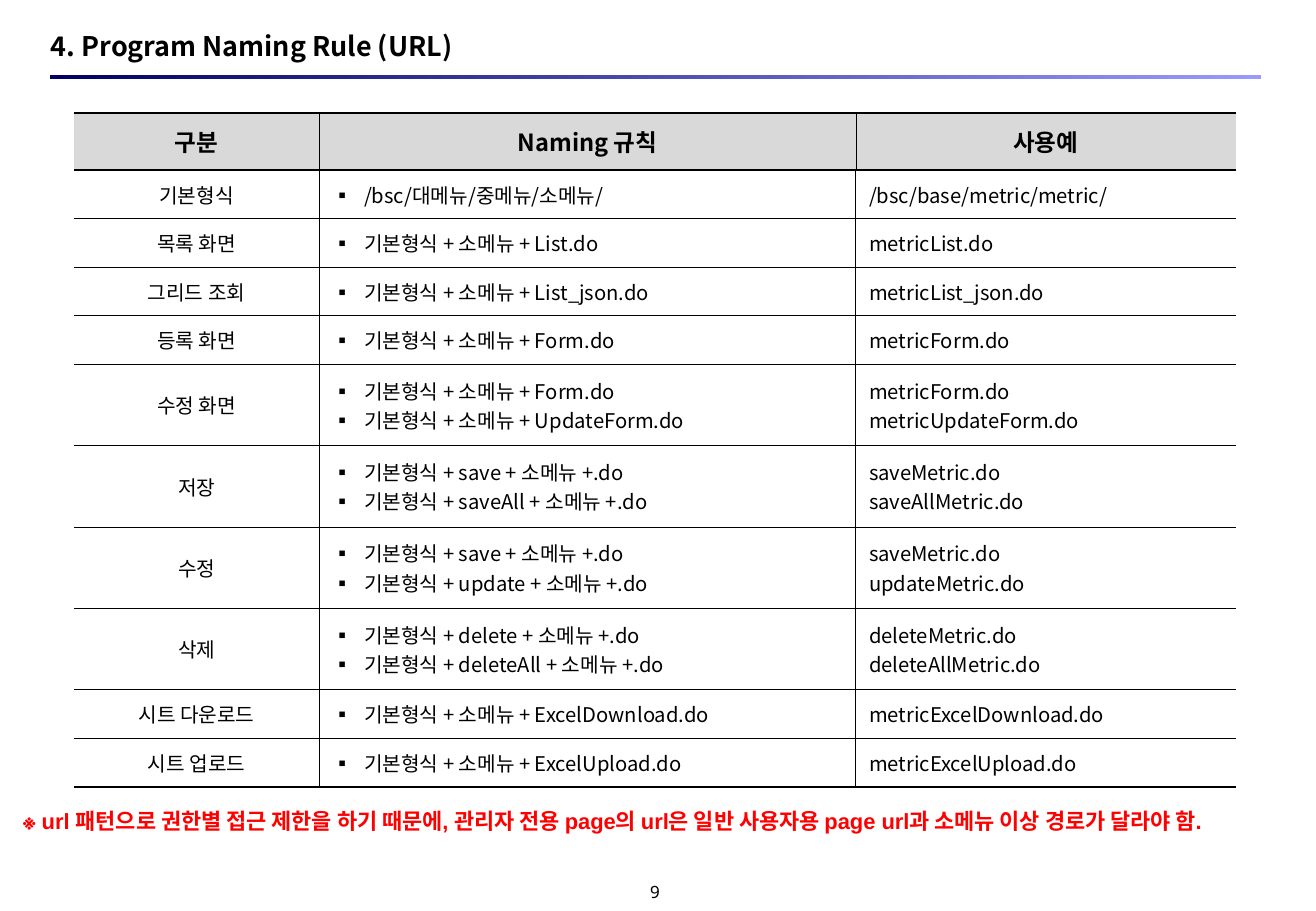
from lxml import etree
from pptx import Presentation
from pptx.dml.color import RGBColor
from pptx.enum.shapes import MSO_SHAPE
from pptx.enum.text import MSO_ANCHOR, MSO_AUTO_SIZE, PP_ALIGN
from pptx.oxml.ns import qn
from pptx.util import Inches, Pt

LEFT, CENTER = PP_ALIGN.LEFT, PP_ALIGN.CENTER
TOP, MIDDLE = MSO_ANCHOR.TOP, MSO_ANCHOR.MIDDLE
RECT, FIXED = MSO_SHAPE.RECTANGLE, MSO_AUTO_SIZE.NONE

# Content
TITLE = "4. Program Naming Rule (URL)"
PAGE = "9"
NOTE = ("※ url 패턴으로 권한별 접근 제한을 하기 때문에, 관리자 전용 page의 url은 "
        "일반 사용자용 page url과 소메뉴 이상 경로가 달라야 함.")
HEADS = ["구분", "Naming 규칙", "사용예"]
ROWS = [
    ("기본형식", ["/bsc/대메뉴/중메뉴/소메뉴/"], ["/bsc/base/metric/metric/"]),
    ("목록 화면", ["기본형식 + 소메뉴 + List.do"], ["metricList.do"]),
    ("그리드 조회", ["기본형식 + 소메뉴 + List_json.do"], ["metricList_json.do"]),
    ("등록 화면", ["기본형식 + 소메뉴 + Form.do"], ["metricForm.do"]),
    ("수정 화면", ["기본형식 + 소메뉴 + Form.do", "기본형식 + 소메뉴 + UpdateForm.do"],
     ["metricForm.do", "metricUpdateForm.do"]),
    ("저장", ["기본형식 + save + 소메뉴 +.do", "기본형식 + saveAll + 소메뉴 +.do"],
     ["saveMetric.do", "saveAllMetric.do"]),
    ("수정", ["기본형식 + save + 소메뉴 +.do", "기본형식 + update + 소메뉴 +.do"],
     ["saveMetric.do", "updateMetric.do"]),
    ("삭제", ["기본형식 + delete + 소메뉴 +.do", "기본형식 + deleteAll + 소메뉴 +.do"],
     ["deleteMetric.do", "deleteAllMetric.do"]),
    ("시트 다운로드", ["기본형식 + 소메뉴 + ExcelDownload.do"], ["metricExcelDownload.do"]),
    ("시트 업로드", ["기본형식 + 소메뉴 + ExcelUpload.do"], ["metricExcelUpload.do"]),
]

# Style
COLORS = {"text": "000000", "note": "FF0000", "head": "D9D9D9",
          "dark": "000066", "light": "9999FF"}
SANS, ARIAL, MONO = "Noto Sans CJK KR", "Arial", "Noto Sans Mono"
WIDTHS = [2.02, 4.42, 3.13]
HEAD_H, ROW_H = 0.47, {1: 0.4, 2: 0.67}
THICK, THIN, HAIR = 0.96, 0.45, 0.11


def rgb(name):
    return RGBColor.from_string(COLORS[name])


def add_mark(par):
    props = par._p.get_or_add_pPr()
    props.set("marL", str(Inches(0.26)))
    props.set("indent", str(-Inches(0.26)))
    etree.SubElement(props, qn("a:buFont")).set("typeface", SANS)
    etree.SubElement(props, qn("a:buChar")).set("char", "▪")


def put_text(frame, lines, size=12, font=SANS, color="text", bold=False,
             align=LEFT, mark=False):
    for i, line in enumerate(lines):
        par = frame.paragraphs[0] if i == 0 else frame.add_paragraph()
        par.alignment = align
        if mark:
            add_mark(par)
        run = par.add_run()
        run.text = line
        run.font.size, run.font.bold = Pt(size), bold
        run.font.name = font
        run.font.color.rgb = rgb(color)
        east = etree.SubElement(run._r.get_or_add_rPr(), qn("a:ea"))
        east.set("typeface", SANS)


def set_frame(frame, anchor, side=0, edge=0, wrap=True):
    frame.auto_size, frame.word_wrap = FIXED, wrap
    frame.vertical_anchor = anchor
    frame.margin_left = frame.margin_right = Inches(side)
    frame.margin_top = frame.margin_bottom = Inches(edge)


def set_edges(cell, edges):
    props = cell._tc.get_or_add_tcPr()
    for tag, width in edges.items():
        line = etree.SubElement(props, qn("a:" + tag))
        if width:
            line.set("w", str(Pt(width)))
            fill = etree.SubElement(line, qn("a:solidFill"))
            etree.SubElement(fill, qn("a:srgbClr")).set("val", COLORS["text"])
        else:
            line.set("w", "0")
            etree.SubElement(line, qn("a:noFill"))


def add_bar(slide):
    bar = slide.shapes.add_shape(RECT, Inches(0.41), Inches(0.62),
                                 Inches(9.98), Inches(0.03))
    bar.shadow.inherit = False
    bar.line.fill.background()
    bar.fill.gradient()
    bar.fill.gradient_angle = 0
    for stop, name in zip(bar.fill.gradient_stops, ("dark", "light")):
        stop.color.rgb = rgb(name)


def add_grid(slide):
    heights = [HEAD_H] + [ROW_H[len(row[1])] for row in ROWS]
    table = slide.shapes.add_table(
        len(heights), len(WIDTHS), Inches(0.61), Inches(0.93),
        Inches(sum(WIDTHS)), Inches(sum(heights))).table
    table.first_row = table.horz_banding = False
    for col, width in zip(table.columns, WIDTHS):
        col.width = Inches(width)
    grid = [[[head] for head in HEADS]]
    grid += [[[kind], rules, uses] for kind, rules, uses in ROWS]
    last_r, last_c = len(grid) - 1, len(WIDTHS) - 1
    for r, row in enumerate(grid):
        table.rows[r].height = Inches(heights[r])
        head = r == 0
        side = HAIR if head else THIN
        for c, lines in enumerate(row):
            cell = table.cell(r, c)
            set_edges(cell, {
                "lnL": side if c > 0 else 0,
                "lnR": side if c < last_c else 0,
                "lnT": THICK if r < 2 else THIN,
                "lnB": THICK if r in (0, last_r) else THIN})
            if head:
                cell.fill.solid()
                cell.fill.fore_color.rgb = rgb("head")
            else:
                cell.fill.background()
            cell.vertical_anchor = MIDDLE
            cell.margin_left = cell.margin_right = Inches(0.11)
            cell.margin_top = cell.margin_bottom = Inches(0.05)
            put_text(cell.text_frame, lines, size=14 if head else 12, bold=head,
                     align=CENTER if head or c == 0 else LEFT,
                     mark=not head and c == 1)


def main():
    deck = Presentation()
    deck.slide_width, deck.slide_height = Inches(10.84), Inches(7.5)
    slide = deck.slides.add_slide(deck.slide_layouts[5])

    # Title and rule
    title = slide.shapes.title
    title.left, title.top = Inches(0.42), Inches(0.24)
    title.width, title.height = Inches(9.97), Inches(0.27)
    set_frame(title.text_frame, MIDDLE)
    put_text(title.text_frame, [TITLE], size=16, bold=True)
    add_bar(slide)

    # Naming table
    add_grid(slide)

    # Note and page number
    note = slide.shapes.add_textbox(Inches(0.09), Inches(6.6),
                                    Inches(10.49), Inches(0.32))
    set_frame(note.text_frame, TOP, side=0.1, edge=0.05, wrap=False)
    put_text(note.text_frame, [NOTE], size=13, font=ARIAL, color="note", bold=True)
    page = slide.shapes.add_textbox(Inches(5.06), Inches(7.24),
                                    Inches(0.67), Inches(0.2))
    set_frame(page.text_frame, MIDDLE)
    put_text(page.text_frame, [PAGE], size=10, font=MONO, align=CENTER)

    deck.save("out.pptx")


if __name__ == "__main__":
    main()
